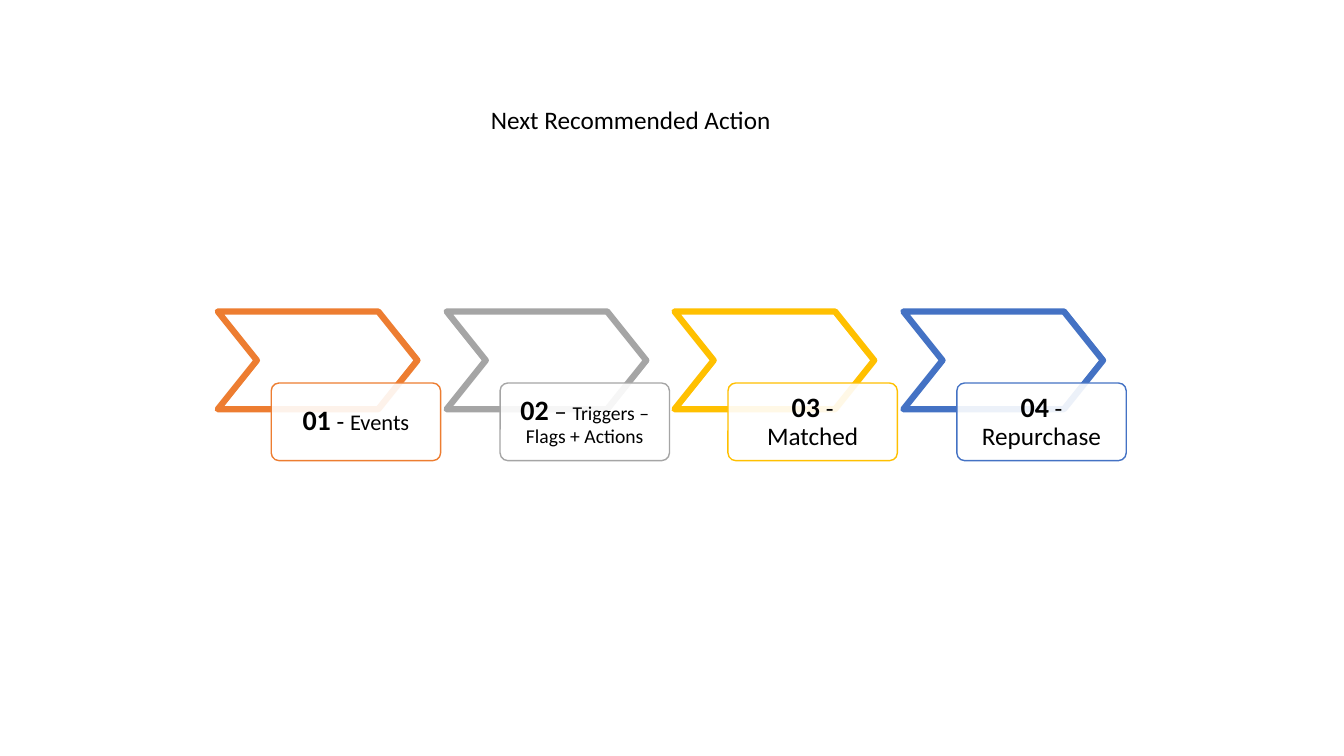
import pptx
import pptx.dml.color
import pptx.enum.shapes
import pptx.enum.text
import pptx.oxml
import pptx.oxml.ns
import pptx.util

PX = 9144  # 100 px to the inch
STEP = 680 / 3
HUES = {
    "orange": "ED7D31",
    "gray": "A5A5A5",
    "gold": "FFC000",
    "blue": "4472C4",
    "white": "FFFFFF",
    "black": "000000",
}
STEPS = [
    ("orange", "01", [(" - ", 18), ("Events", 16)]),
    ("gray", "02", [(" – ", 18), ("Triggers – Flags + Actions", 14)]),
    ("gold", "03", [(" - Matched", 18)]),
    ("blue", "04", [(" - Repurchase", 18)]),
]
KINDS = pptx.enum.shapes.MSO_SHAPE
RGB = pptx.dml.color.RGBColor.from_string


def add_run(para, text, size, bold=False):
    run = para.add_run()
    run.text = text
    run.font.name = "Calibri"
    run.font.size = pptx.util.Pt(size)
    run.font.bold = bold
    run.font.color.rgb = RGB(HUES["black"])


def add_form(kind, box, adj, hue, width):
    """Add an unfilled preset shape with a coloured outline."""
    form = slide.shapes.add_shape(kind, *[round(n) * PX for n in box])
    form.shadow.inherit = False
    form.adjustments[0] = adj
    form.fill.background()
    form.line.color.rgb = RGB(HUES[hue])
    form.line.width = pptx.util.Pt(width)
    return form


deck = pptx.Presentation()
deck.slide_width = 1333 * PX
deck.slide_height = 750 * PX
slide = deck.slides.add_slide(deck.slide_layouts[6])

title = slide.shapes.add_textbox(477 * PX, 99 * PX, 301 * PX, 40 * PX)
title.text_frame.word_wrap = False
title.text_frame.auto_size = pptx.enum.text.MSO_AUTO_SIZE.SHAPE_TO_FIT_TEXT
add_run(title.text_frame.paragraphs[0], "Next Recommended Action", 18)

for i, (hue, num, parts) in enumerate(STEPS):
    left = 216 + i * STEP
    add_form(KINDS.CHEVRON, (left, 309, 198, 97), 0.4, hue, 4.5)

    card = add_form(KINDS.ROUNDED_RECTANGLE, (left + 53, 380, 168, 77), 0.1, hue, 1)
    card.fill.solid()
    card.fill.fore_color.rgb = RGB(HUES["white"])
    color = card.fill._xPr.find(".//" + pptx.oxml.ns.qn("a:srgbClr"))
    alpha = pptx.oxml.parse_xml(f'<a:alpha {pptx.oxml.ns.nsdecls("a")} val="90000"/>')
    color.append(alpha)

    frame = card.text_frame
    frame.word_wrap = True
    frame.vertical_anchor = pptx.enum.text.MSO_ANCHOR.MIDDLE
    frame.margin_left = frame.margin_right = 16 * PX
    frame.margin_top = frame.margin_bottom = 16 * PX
    para = frame.paragraphs[0]
    para.alignment = pptx.enum.text.PP_ALIGN.CENTER
    para.line_spacing = 0.9
    add_run(para, num, 20, True)
    for text, size in parts:
        add_run(para, text, size)

deck.save("out.pptx")
